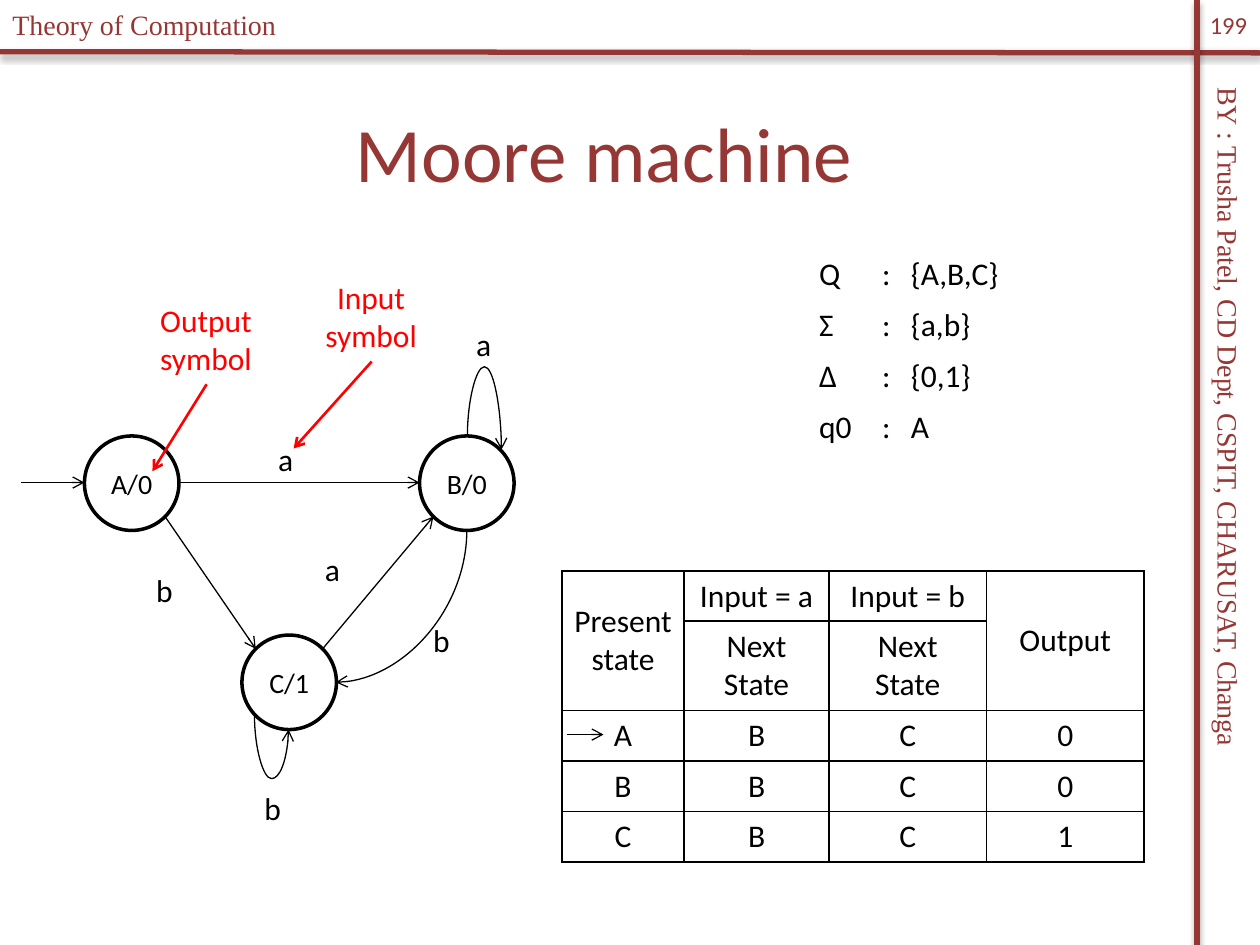
import dataclasses

import lxml.etree
import pptx
import pptx.dml.color
import pptx.enum.shapes
import pptx.enum.text
import pptx.oxml
import pptx.oxml.ns
import pptx.util

Inches = pptx.util.Inches
Align = pptx.enum.text.PP_ALIGN
Anchor = pptx.enum.text.MSO_ANCHOR
Connector = pptx.enum.shapes.MSO_CONNECTOR
qn = pptx.oxml.ns.qn


@dataclasses.dataclass(frozen=True)
class Theme:
    """Colours, fonts and type sizes of the slide."""
    maroon: str = "953735"
    black: str = "000000"
    white: str = "FFFFFF"
    red: str = "FF0000"
    sans: str = "Calibri"
    serif: str = "Times New Roman"
    title: int = 44
    body: int = 18
    small: int = 16
    number: int = 14


THEME = Theme()


def rgb(value):
    """Return a colour object for a hex value."""
    return pptx.dml.color.RGBColor.from_string(value)


def inches(*values):
    """Return the given numbers as lengths."""
    return [Inches(value) for value in values]


def write(frame, text, size=THEME.body, color=THEME.black, font=THEME.sans, align=Align.LEFT):
    """Set the text of a frame and format its runs."""
    frame.text = text
    for para in frame.paragraphs:
        para.alignment = align
        for span in para.runs:
            span.font.size = pptx.util.Pt(size)
            span.font.name = font
            span.font.color.rgb = rgb(color)


def add_label(page, box, text, **style):
    """Add a text box that keeps its lines unwrapped."""
    label = page.shapes.add_textbox(*inches(*box))
    label.text_frame.word_wrap = False
    write(label.text_frame, text, **style)
    return label


def add_line(page, start, end, color=THEME.black, width=0.75, arrow=True, kind=Connector.STRAIGHT):
    """Add a connector without shadow, with an optional arrowhead at its end."""
    line = page.shapes.add_connector(kind, *inches(*start, *end))
    line.line.color.rgb = rgb(color)
    line.line.width = pptx.util.Pt(width)
    properties = line._element.spPr
    if arrow:
        lxml.etree.SubElement(properties.find(qn("a:ln")), qn("a:tailEnd"), type="arrow")
    lxml.etree.SubElement(properties, qn("a:effectLst"))
    return line


def add_curve(page, box, preset, turn, flip=False, bend=None):
    """Add a turned curved arrow that fills a box before turning."""
    left, top, width, height = box
    curve = add_line(page, (left, top), (left + width, top + height), kind=Connector.CURVE)
    frame = curve._element.spPr.find(qn("a:xfrm"))
    frame.set("rot", str(turn * 60000))
    if flip:
        frame.set("flipH", "1")
    geometry = curve._element.spPr.find(qn("a:prstGeom"))
    geometry.set("prst", preset)
    if bend is not None:
        guides = geometry.get_or_add_avLst()
        lxml.etree.SubElement(guides, qn("a:gd"), name="adj1", fmla=f"val {round(bend * 100000)}")


def add_rule(page, start, end):
    """Add a thick frame rule with a soft shadow below it."""
    rule = add_line(page, start, end, THEME.maroon, 3, arrow=False)
    effects = rule._element.spPr.find(qn("a:effectLst"))
    shadow = lxml.etree.SubElement(
        effects, qn("a:outerShdw"), blurRad=str(pptx.util.Pt(3.1)), dist=str(pptx.util.Pt(1.8)),
        dir="5400000", rotWithShape="0")
    color = lxml.etree.SubElement(shadow, qn("a:srgbClr"), val=THEME.black)
    lxml.etree.SubElement(color, qn("a:alpha"), val="35000")


def add_frame(page, width, height):
    """Draw the rules, course name, author and page number around the slide."""
    add_rule(page, (0, 0.41), (width, 0.42))
    add_rule(page, (width - 0.5, 0), (width - 0.5, height))
    serif = dict(size=THEME.small, color=THEME.maroon, font=THEME.serif)
    author = "BY : Trusha Patel, CD Dept, CSPIT, CHARUSAT, Changa"
    add_label(page, (6.54, 3.62, 6.42, 0.37), author, **serif).rotation = 90
    add_label(page, (0, 0.01, 3.29, 0.37), "Theory of Computation", **serif)
    number = add_label(page, (width - 0.5, 0, 0.5, 0.4), "199", size=THEME.number,
                       color=THEME.maroon, align=Align.CENTER)
    number.text_frame.vertical_anchor = Anchor.MIDDLE


def add_title(page, box, text):
    """Place and format the title placeholder."""
    title = page.shapes.title
    title.left, title.top, title.width, title.height = inches(*box)
    title.text_frame.vertical_anchor = Anchor.MIDDLE
    write(title.text_frame, text, THEME.title, THEME.maroon, align=Align.CENTER)


def add_state(page, left, top, text):
    """Draw one state circle."""
    state = page.shapes.add_shape(
        pptx.enum.shapes.MSO_SHAPE.OVAL, *inches(left, top, 0.75, 0.75))
    state.shadow.inherit = False
    state.fill.solid()
    state.fill.fore_color.rgb = rgb(THEME.white)
    state.line.color.rgb = rgb(THEME.black)
    state.line.width = pptx.util.Pt(2)
    state.text_frame.word_wrap = False
    state.text_frame.vertical_anchor = Anchor.MIDDLE
    write(state.text_frame, text, THEME.small, align=Align.CENTER)


def add_diagram(page, box):
    """Draw the state diagram with its transitions and callouts."""
    x, y = box[:2]

    def at(left, top):
        """Return a point of the diagram on the slide."""
        return x + left, y + top

    for left, top, text in ((0.5, 1.3, "A/0"), (3.16, 1.3, "B/0"), (1.75, 2.88, "C/1")):
        add_state(page, *at(left, top), text)
    for start, end in (((0, 1.67), (0.5, 1.67)), ((1.25, 1.67), (3.16, 1.67)),
                       ((1.14, 1.94), (1.86, 2.99)), ((2.39, 2.99), (3.27, 1.94))):
        add_line(page, at(*start), at(*end))
    add_curve(page, (*at(2.41, 2.13), 1.21, 1.04), "curvedConnector2", 90)
    for left, top, bend in ((3.62, 1.22, -5), (1.93, 3.44, 4.55)):
        add_curve(page, (*at(left, top), 0.11, 0.27), "curvedConnector3", 270, True, bend)
    for left, top, text in ((1.94, 1.28, "a"), (0.97, 2.32, "b"), (1.83, 4.05, "b"),
                            (3.17, 2.72, "b"), (2.31, 2.16, "a"), (3.51, 0.37, "a")):
        add_label(page, (*at(left, top), 0.33, 0.4), text)
    for left, top, text, start, end in (
            (0.99, 0.18, "Output\nsymbol", (1.47, 0.89), (1.04, 1.58)),
            (2.3, 0, "Input\nsymbol", (2.78, 0.71), (2.16, 1.4))):
        add_label(page, (*at(left, top), 0.95, 0.71), text, color=THEME.red, align=Align.CENTER)
        add_line(page, at(*start), at(*end), THEME.red, 1.5)


def add_grid(page, box, columns, heights):
    """Add a plain table with the given column widths and row heights."""
    table = page.shapes.add_table(len(heights), len(columns), *inches(*box)).table
    table.first_row = table.horz_banding = False
    for column, width in zip(table.columns, columns):
        column.width = Inches(width)
    for row, height in zip(table.rows, heights):
        row.height = Inches(height)
    for cell in table.iter_cells():
        cell.fill.background()
    return table


def add_definition(page, box):
    """List the sets that define the machine."""
    rows = (("Q", "{A,B,C}"), ("Σ", "{a,b}"), ("Δ", "{0,1}"), ("q0", "A"))
    table = add_grid(page, box, (0.5, box[2] - 0.5), [box[3] / len(rows)] * len(rows))
    for index, (symbol, value) in enumerate(rows):
        write(table.cell(index, 0).text_frame, symbol)
        cell = table.cell(index, 1)
        cell.margin_right = Inches(0.02)
        write(cell.text_frame, f":\t{value}")
        properties = cell.text_frame.paragraphs[0]._p.get_or_add_pPr()
        stops = lxml.etree.SubElement(properties, qn("a:tabLst"))
        lxml.etree.SubElement(stops, qn("a:tab"), pos=str(Inches(0.23)), algn="l")


def add_borders(cell):
    """Draw a thin black line on every side of a cell."""
    properties = cell._tc.get_or_add_tcPr()
    for index, side in enumerate(("lnL", "lnR", "lnT", "lnB")):
        line = lxml.etree.Element(qn(f"a:{side}"), w=str(pptx.util.Pt(1)))
        fill = lxml.etree.SubElement(line, qn("a:solidFill"))
        lxml.etree.SubElement(fill, qn("a:srgbClr"), val=THEME.black)
        properties.insert(index, line)


def add_transitions(page, box):
    """Fill the transition table and mark the start state."""
    rows = (("Present state", "Input = a", "Input = b", "Output"),
            ("", "Next State", "Next\nState", ""),
            ("A", "B", "C", "0"), ("B", "B", "C", "0"), ("C", "B", "C", "1"))
    table = add_grid(page, box, (0.97, 1.15, 1.25, 1.25), (0.4, 0.71, 0.4, 0.4, 0.4))
    for column in (0, 3):
        table.cell(0, column).merge(table.cell(1, column))
    for cell, text in zip(table.iter_cells(), sum(rows, ())):
        add_borders(cell)
        cell.vertical_anchor = Anchor.MIDDLE
        cell.margin_left = cell.margin_right = Inches(0.07)
        if text:
            write(cell.text_frame, text, align=Align.CENTER)
    left, top = box[0] + 0.04, box[1] + 1.3
    add_line(page, (left, top), (left + 0.29, top))


def main():
    """Build the slide and save the deck."""
    deck = pptx.Presentation()
    deck.slide_width, deck.slide_height = inches(10, 7.5)
    page = deck.slides.add_slide(deck.slide_layouts.get_by_name("Title Only"))
    add_frame(page, 10, 7.5)
    add_title(page, (0.17, 0.58, 9.25, 1.25), "Moore machine")
    add_diagram(page, (0.17, 2.16, 3.91, 4.45))
    add_definition(page, (6.4, 1.98, 1.68, 1.62))
    add_transitions(page, (4.46, 4.53, 4.62, 2.31))
    deck.save("out.pptx")


if __name__ == "__main__":
    main()
